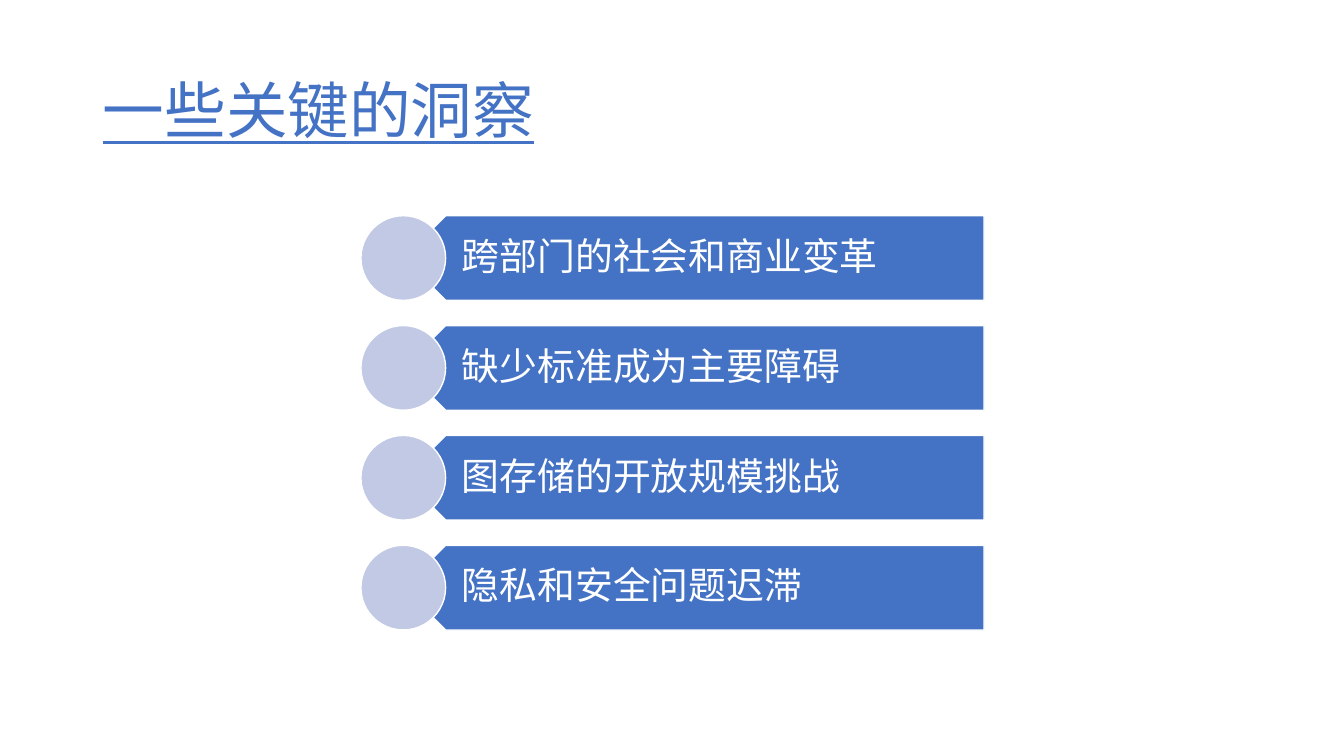
"""Build a slide listing key insights as a column of arrow bars with round markers."""
from lxml import etree
from pptx import Presentation
from pptx.dml.color import RGBColor
from pptx.enum.shapes import MSO_SHAPE
from pptx.enum.text import MSO_ANCHOR, MSO_AUTO_SIZE, PP_ALIGN
from pptx.oxml.ns import qn
from pptx.util import Inches, Pt

TITLE = "一些关键的洞察"
INSIGHTS = [
    "跨部门的社会和商业变革",
    "缺少标准成为主要障碍",
    "图存储的开放规模挑战",
    "隐私和安全问题迟滞",
]

FONT = "Noto Sans CJK SC"
COLORS = {"accent": "4472C4", "marker": "C1C9E4", "white": "FFFFFF"}
PENTAGON, CIRCLE = MSO_SHAPE.PENTAGON, MSO_SHAPE.OVAL
MIDDLE, LEFT, NO_FIT = MSO_ANCHOR.MIDDLE, PP_ALIGN.LEFT, MSO_AUTO_SIZE.NONE

SLIDE_W, SLIDE_H = 13.33, 7.5
TITLE_BOX = (0.92, 0.4, 11.5, 1.45)
BAR_LEFT, BAR_W, BAR_H = 4, 5.76, 0.84
FIRST_TOP, ROW_PITCH = 2.14, 1.09
RADIUS = BAR_H / 2


def color(name):
    return RGBColor.from_string(COLORS[name])


def inches(*lengths):
    return [Inches(length) for length in lengths]


def write(frame, text, size, color_name, margins):
    frame.text = text
    frame.word_wrap = True
    frame.auto_size = NO_FIT
    frame.vertical_anchor = MIDDLE
    (frame.margin_left, frame.margin_top,
     frame.margin_right, frame.margin_bottom) = inches(*margins)
    paragraph = frame.paragraphs[0]
    paragraph.alignment = LEFT
    paragraph.line_spacing = 0.9
    font = paragraph.runs[0].font
    font.size = Pt(size)
    font.color.rgb = color(color_name)
    font.name = FONT
    properties = paragraph.runs[0]._r.get_or_add_rPr()
    etree.SubElement(properties, qn("a:ea")).set("typeface", FONT)
    return font


def add_block(slide, preset, box, fill):
    block = slide.shapes.add_shape(preset, *inches(*box))
    block.shadow.inherit = False
    block.fill.solid()
    block.fill.fore_color.rgb = color(fill)
    block.line.color.rgb = color("white")
    block.line.width = Pt(1)
    return block


def add_insight(slide, text, top):
    bar = add_block(slide, PENTAGON, (BAR_LEFT, top, BAR_W, BAR_H), "accent")
    bar.rotation = 180
    label = slide.shapes.add_textbox(
        *inches(BAR_LEFT + RADIUS / 2, top, BAR_W - RADIUS / 2, BAR_H))
    write(label.text_frame, text, 27, "white", (0.37, 0.11, 0.21, 0.11))
    add_block(slide, CIRCLE, (BAR_LEFT - RADIUS, top, BAR_H, BAR_H), "marker")


def main():
    deck = Presentation()
    deck.slide_width, deck.slide_height = inches(SLIDE_W, SLIDE_H)
    slide = deck.slides.add_slide(deck.slide_layouts[5])
    title = slide.shapes.title
    title.left, title.top, title.width, title.height = inches(*TITLE_BOX)
    heading = write(title.text_frame, TITLE, 44, "accent", (0.1, 0.05, 0.1, 0.05))
    heading.underline = True
    for row, insight in enumerate(INSIGHTS):
        add_insight(slide, insight, FIRST_TOP + row * ROW_PITCH)
    deck.save("out.pptx")


if __name__ == "__main__":
    main()
